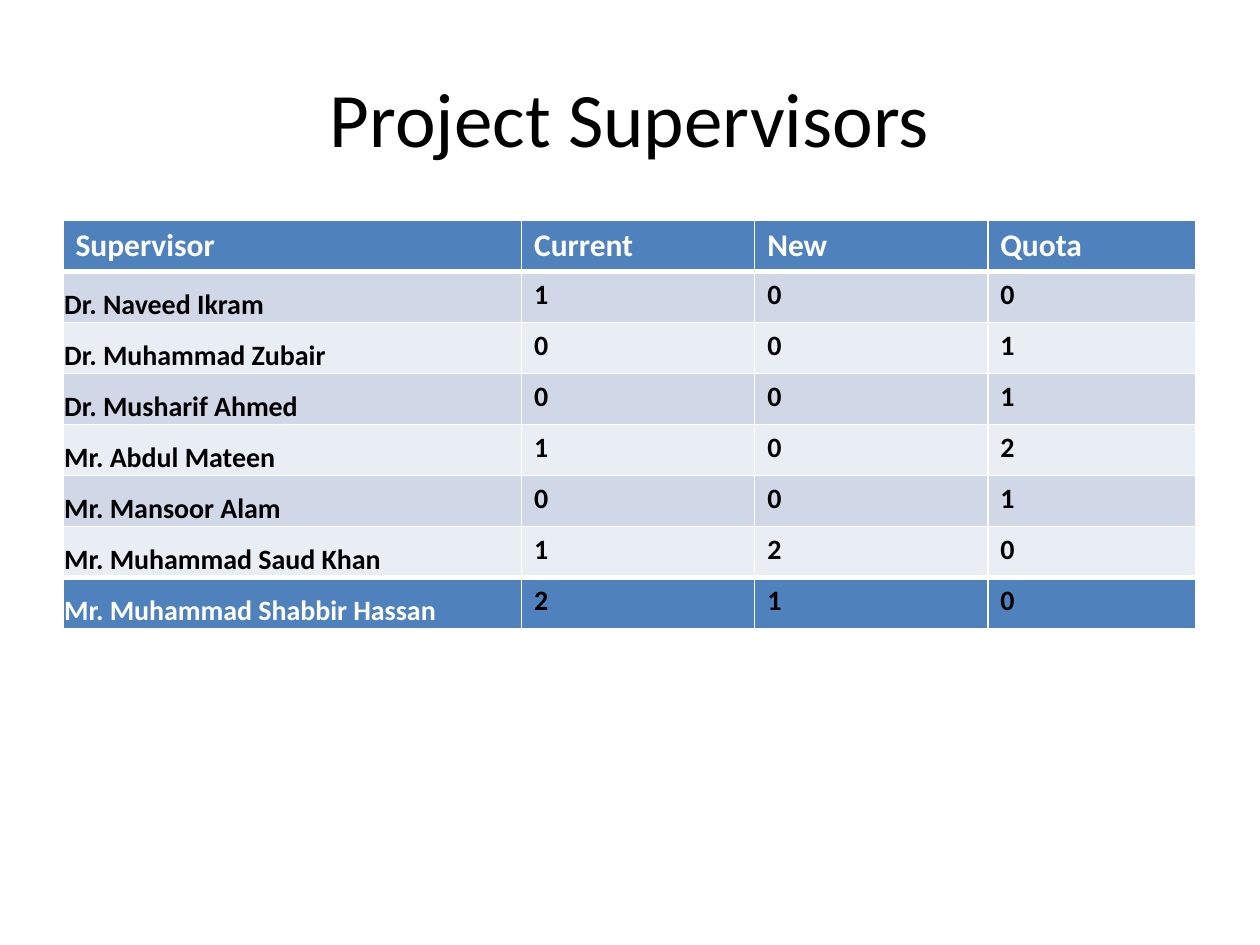
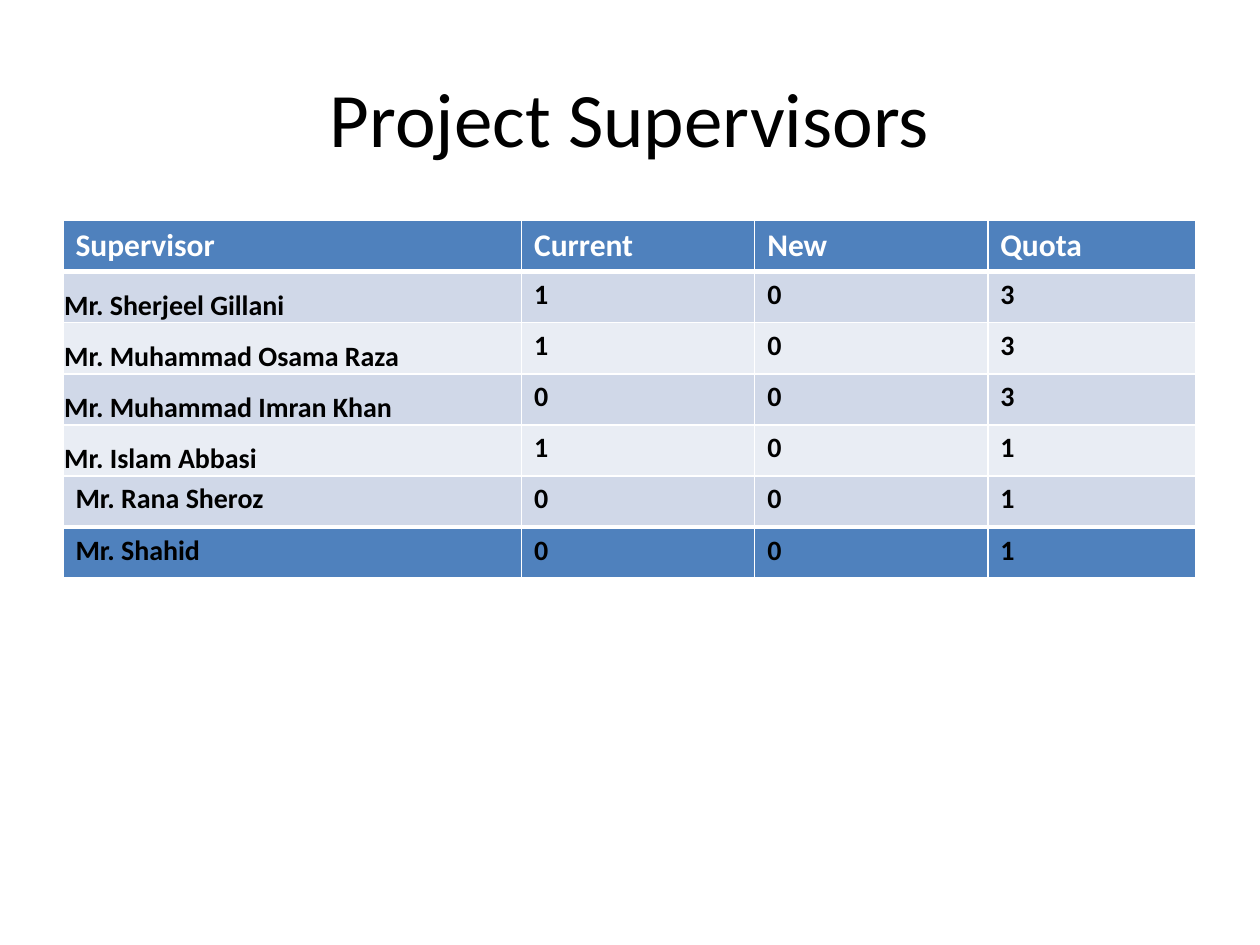
from lxml import etree
from pptx import Presentation
from pptx.dml.color import RGBColor
from pptx.enum.text import MSO_ANCHOR, PP_ALIGN
from pptx.oxml.ns import qn
from pptx.util import Inches, Pt

CENTER = PP_ALIGN.CENTER
MIDDLE, BOTTOM = MSO_ANCHOR.MIDDLE, MSO_ANCHOR.BOTTOM

COLORS = {
    "text": "000000",
    "light": "FFFFFF",
    "accent": "4F81BD",
    "odd": "D0D8E8",
    "even": "E9EDF4",
}
FONT = "Calibri"
THIN, THICK = 1, 3
BLANK_LAYOUT = 6

TITLE = "Project Supervisors"
HEADERS = ("Supervisor", "Current", "New", "Quota")
COLUMN_WIDTHS = (3.64, 1.85, 1.85, 1.65)

# Each slide: table height, number of names set flush to the cell edge, rows.
SUPERVISOR_TABLES = (
    (3.24, 7, (
        ("Dr. Naveed Ikram", 1, 0, 0),
        ("Dr. Muhammad Zubair", 0, 0, 1),
        ("Dr. Musharif Ahmed", 0, 0, 1),
        ("Mr. Abdul Mateen", 1, 0, 2),
        ("Mr. Mansoor Alam", 0, 0, 1),
        ("Mr. Muhammad Saud Khan", 1, 2, 0),
        ("Mr. Muhammad Shabbir Hassan", 2, 1, 0),
    )),
    (2.84, 4, (
        ("Mr. Sherjeel Gillani", 1, 0, 3),
        ("Mr. Muhammad Osama Raza", 1, 0, 3),
        ("Mr. Muhammad Imran Khan", 0, 0, 3),
        ("Mr. Islam Abbasi", 1, 0, 1),
        ("Mr. Rana Sheroz", 0, 0, 1),
        ("Mr. Shahid", 0, 0, 1),
    )),
)


class Deck:
    def __init__(self):
        self.presentation = Presentation()
        self.presentation.slide_width = Inches(10)
        self.presentation.slide_height = Inches(7.5)
        self.slide = None

    def add_slide(self):
        layout = self.presentation.slide_layouts[BLANK_LAYOUT]
        self.slide = self.presentation.slides.add_slide(layout)

    def add_run(self, paragraph, text, size, color, bold=False):
        run = paragraph.add_run()
        run.text = text
        run.font.name = FONT
        run.font.size = Pt(size)
        run.font.bold = bold
        run.font.color.rgb = RGBColor.from_string(COLORS[color])

    def add_title(self, text):
        box = self.slide.shapes.add_textbox(
            Inches(0.5), Inches(0.3), Inches(9), Inches(1.25))
        frame = box.text_frame
        frame.word_wrap = True
        frame.vertical_anchor = MIDDLE
        paragraph = frame.paragraphs[0]
        paragraph.alignment = CENTER
        self.add_run(paragraph, text, 44, "text")

    def set_borders(self, cell, top, bottom):
        properties = cell._tc.get_or_add_tcPr()
        widths = {"a:lnL": THIN, "a:lnR": THIN, "a:lnT": top, "a:lnB": bottom}
        for tag, width in widths.items():
            line = etree.SubElement(properties, qn(tag), w=str(Pt(width)))
            fill = etree.SubElement(line, qn("a:solidFill"))
            etree.SubElement(fill, qn("a:srgbClr"), val=COLORS["light"])

    def set_flush(self, cell):
        """Anchor the text at the bottom, with almost no margin."""
        cell.vertical_anchor = BOTTOM
        cell.margin_left = cell.margin_right = cell.margin_top = Inches(0.01)
        cell.margin_bottom = 0

    def add_table(self, height, flush_count, supervisors):
        rows = (HEADERS, *supervisors)
        last = len(rows) - 1
        table = self.slide.shapes.add_table(
            len(rows), len(HEADERS), Inches(0.5), Inches(1.75),
            Inches(sum(COLUMN_WIDTHS)), Inches(height)).table
        table.last_row = True
        for column, width in zip(table.columns, COLUMN_WIDTHS):
            column.width = Inches(width)

        for row_index, values in enumerate(rows):
            is_header = row_index == 0
            if row_index in (0, last):
                fill = "accent"
            else:
                fill = "odd" if row_index % 2 else "even"
            top = THICK if row_index in (1, last) else THIN
            bottom = THICK if row_index in (0, last - 1) else THIN

            for column_index, value in enumerate(values):
                cell = table.cell(row_index, column_index)
                is_flush = column_index == 0 and 1 <= row_index <= flush_count
                if is_flush:
                    self.set_flush(cell)
                self.set_borders(cell, top, bottom)
                cell.fill.solid()
                cell.fill.fore_color.rgb = RGBColor.from_string(COLORS[fill])
                is_light = is_header or (is_flush and row_index == last)
                self.add_run(cell.text_frame.paragraphs[0], str(value),
                             18 if is_header else 16,
                             "light" if is_light else "text", bold=True)


def main():
    deck = Deck()
    for height, flush_count, supervisors in SUPERVISOR_TABLES:
        deck.add_slide()
        deck.add_title(TITLE)
        deck.add_table(height, flush_count, supervisors)
    deck.presentation.save("out.pptx")


if __name__ == "__main__":
    main()
